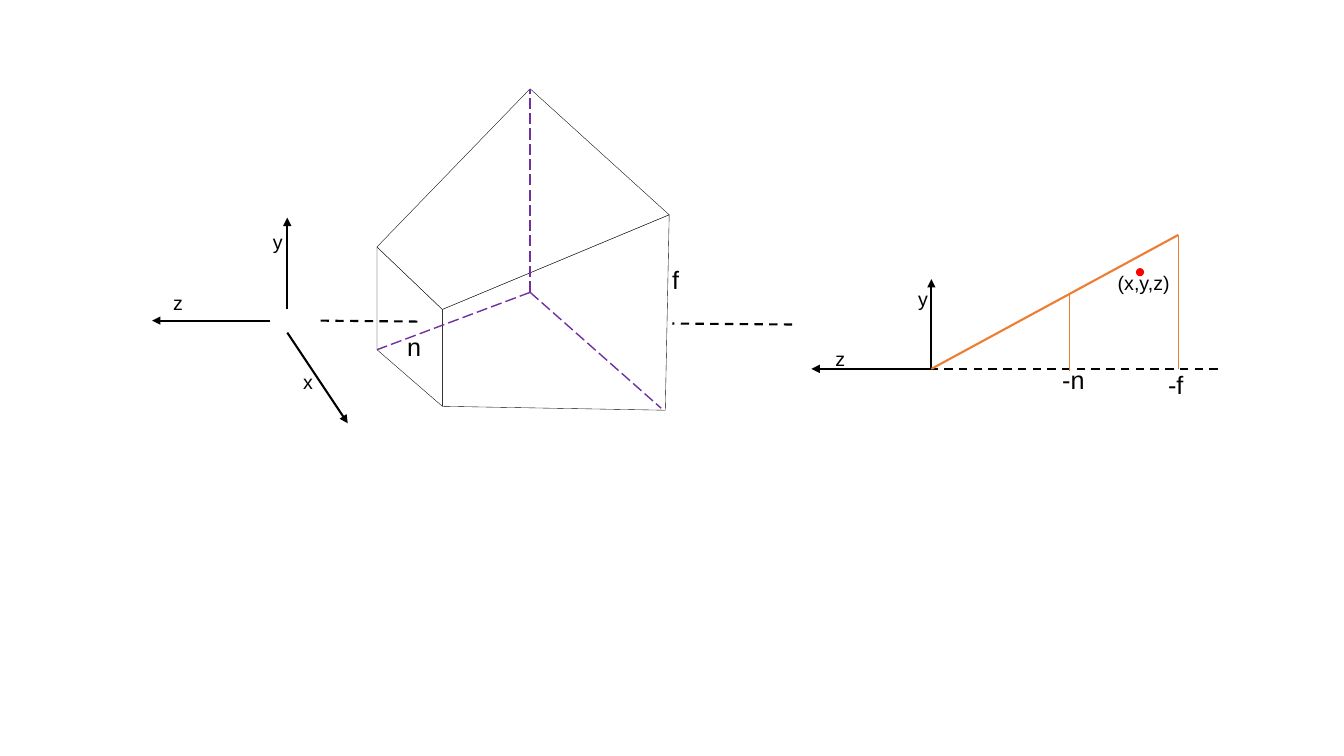
from dataclasses import dataclass

from lxml import etree
from pptx import Presentation
from pptx.dml.color import RGBColor
from pptx.enum.dml import MSO_LINE
from pptx.enum.shapes import MSO_CONNECTOR, MSO_SHAPE
from pptx.enum.text import MSO_AUTO_SIZE
from pptx.oxml.ns import qn
from pptx.shapes.shapetree import GroupShapes, SlideShapes
from pptx.util import Pt

STRAIGHT = MSO_CONNECTOR.STRAIGHT
OVAL = MSO_SHAPE.OVAL
DASH = MSO_LINE.DASH
LONG = MSO_LINE.LONG_DASH
FIT = MSO_AUTO_SIZE.SHAPE_TO_FIT_TEXT

BLACK, WHITE, RED = "000000", "FFFFFF", "FF0000"
PURPLE, ORANGE = "7030A0", "ED7D31"

Point = tuple[float, float]
Shapes = SlideShapes | GroupShapes


@dataclass
class Line:
    start: Point
    end: Point
    color: str = BLACK
    width: float = 1.5
    dash: MSO_LINE | None = None
    arrow: bool = False


@dataclass
class Label:
    text: str
    left: float
    top: float
    width: float = 17.3
    size: int = 14
    wrap: bool = True


# Corners of the view frustum
BACK_TOP, BACK_LOW = (378.7, 63.4), (378.7, 208.8)
LEFT_TOP, LEFT_LOW = (269.3, 176.4), (269.3, 249.8)
FRONT_TOP, FRONT_LOW = (316, 221), (316, 290.2)
RIGHT_TOP, RIGHT_LOW = (478, 153.4), (475.2, 293)

FACES = [
    [RIGHT_LOW, RIGHT_TOP, FRONT_TOP, FRONT_LOW],
    [FRONT_LOW, LEFT_LOW, LEFT_TOP, FRONT_TOP],
    [BACK_TOP, RIGHT_TOP, FRONT_TOP, LEFT_TOP],
]
HIDDEN = [
    Line(BACK_LOW, end, PURPLE, 1, LONG)
    for end in ((472.3, 291.6), BACK_TOP, LEFT_LOW)
]

# Side view: the eye, and the far corner of the slope
EYE, FAR = (665.3, 263.5), (841.7, 167.8)
NEAR_X = 763.9

LINES = [
    Line((205.2, 221), (205.2, 155.5), arrow=True),
    Line((193, 229), (108.7, 229), arrow=True),
    Line((205.2, 237.6), (248.4, 302.4), arrow=True),
    Line((298.1, 229.7), (224.6, 229), dash=DASH),
    Line((565.9, 231.8), (480.2, 231.1), dash=DASH),
    Line(EYE, (579.6, EYE[1]), arrow=True),
    Line(EYE, (EYE[0], 199.4), arrow=True),
    Line((869.8, EYE[1]), EYE, dash=DASH),
    Line(EYE, FAR, ORANGE),
    Line(FAR, (FAR[0], EYE[1]), ORANGE, 1),
    Line((NEAR_X, 211), (NEAR_X, 265), ORANGE, 1),
]
LABELS = [
    Label("y", 187.9, 160.6),
    Label("z", 116.6, 204.5),
    Label("x", 209.5, 260.6),
    Label("n", 283.7, 233.3, 24.5, 18, False),
    Label("f", 473, 185, 19.4, 18, False),
    Label("-n", 751.7, 257, 31, 18, False),
    Label("-f", 827.3, 260.6, 27.4, 18),
    Label("y", 648.7, 201.6),
    Label("z", 589.7, 244.1),
    Label("(x,y,z)", 791.3, 190.1, 51.8, 14, False),
]


def rgb(code: str) -> RGBColor:
    return RGBColor.from_string(code)


def draw_line(shapes: Shapes, item: Line) -> None:
    ends = [Pt(v) for v in (*item.start, *item.end)]
    link = shapes.add_connector(STRAIGHT, *ends)
    link.line.color.rgb = rgb(item.color)
    link.line.width = Pt(item.width)
    if item.dash is not None:
        link.line.dash_style = item.dash
    props = link.line._get_or_add_ln()
    if item.arrow:
        etree.SubElement(props, qn("a:tailEnd"), type="triangle")
    etree.SubElement(props.getparent(), qn("a:effectLst"))


def draw_face(shapes: Shapes, corners: list[Point]) -> None:
    first, *rest = [(Pt(x), Pt(y)) for x, y in corners]
    pen = shapes.build_freeform(*first)
    pen.add_line_segments(rest, close=True)
    face = pen.convert_to_shape()
    face.shadow.inherit = False
    face.fill.solid()
    face.fill.fore_color.rgb = rgb(WHITE)
    face.line.color.rgb = rgb(BLACK)
    face.line.width = Pt(0.25)


def draw_label(shapes: Shapes, item: Label) -> None:
    area = (item.left, item.top, item.width, item.size * 1.2 + 7.5)
    frame = shapes.add_textbox(*[Pt(v) for v in area]).text_frame
    frame.word_wrap = item.wrap
    frame.auto_size = FIT
    run = frame.paragraphs[0].add_run()
    run.text = item.text
    style = {"name": "Arial", "size": Pt(item.size)}
    for key, value in style.items():
        setattr(run.font, key, value)
    run.font.color.rgb = rgb(BLACK)


def draw_dot(shapes: Shapes, left: float, top: float, size: float) -> None:
    dot = shapes.add_shape(OVAL, Pt(left), Pt(top), Pt(size), Pt(size))
    dot.shadow.inherit = False
    dot.fill.solid()
    dot.fill.fore_color.rgb = rgb(RED)
    dot.line.fill.background()


def main() -> None:
    deck = Presentation()
    deck.slide_width, deck.slide_height = Pt(960), Pt(540)
    shapes = deck.slides.add_slide(deck.slide_layouts[6]).shapes
    solid = shapes.add_group_shape().shapes
    for face in FACES:
        draw_face(solid, face)
    for edge in HIDDEN:
        draw_line(solid, edge)
    for line in LINES:
        draw_line(shapes, line)
    for label in LABELS:
        draw_label(shapes, label)
    draw_dot(shapes, 811.4, 191.5, 5.8)
    deck.save("out.pptx")


if __name__ == "__main__":
    main()
